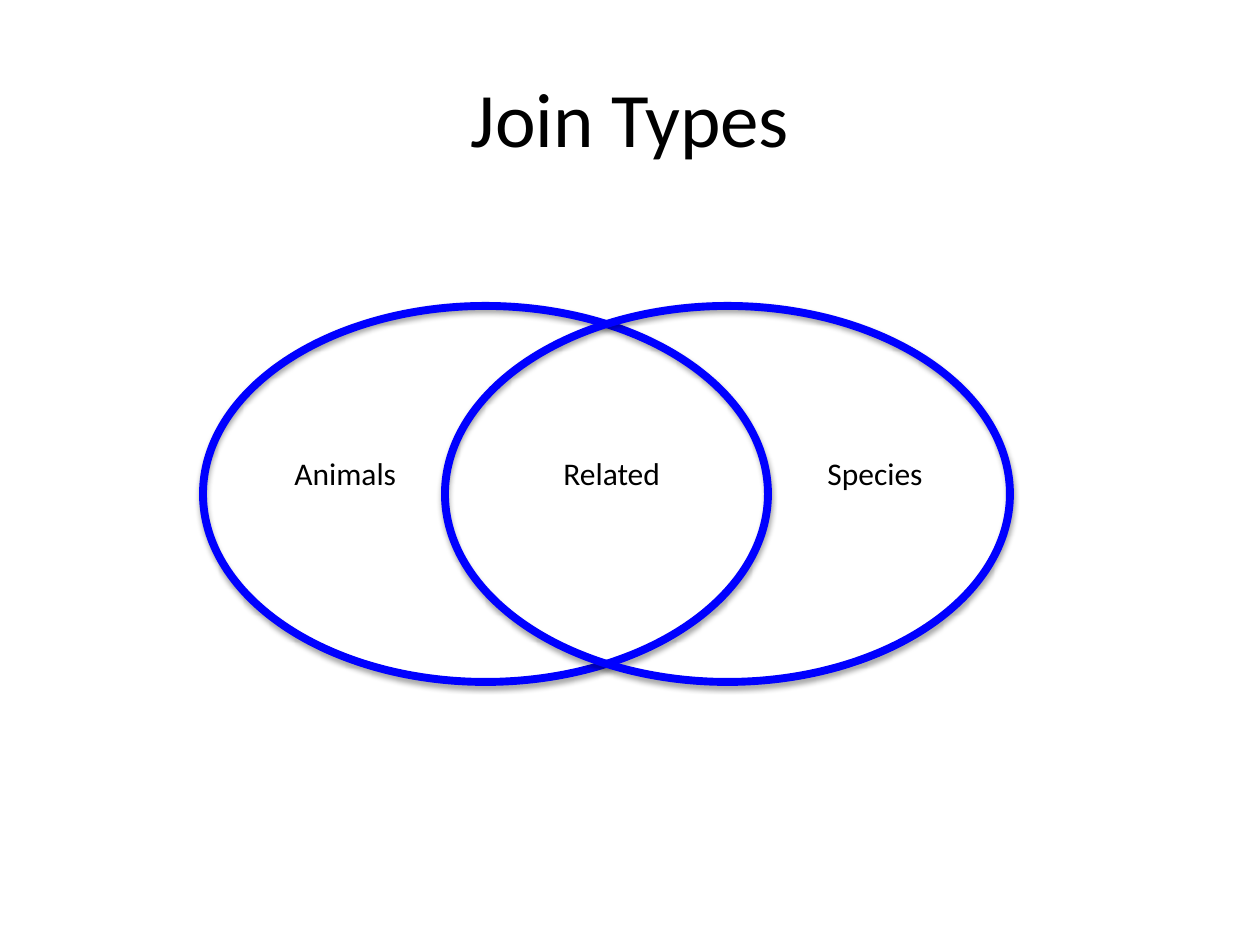
from pptx import Presentation
from pptx.dml.color import RGBColor
from pptx.enum.shapes import MSO_SHAPE
from pptx.enum.text import MSO_ANCHOR, MSO_AUTO_SIZE, PP_ALIGN
from pptx.util import Inches, Pt

PX = Inches(1) // 126


def color(value):
    return RGBColor.from_string(value)


def style(paragraph, size):
    paragraph.font.name = "Calibri"
    paragraph.font.size = Pt(size)
    paragraph.font.color.rgb = color("000000")


presentation = Presentation()
presentation.slide_width = Inches(10)
presentation.slide_height = Inches(7.5)
slide = presentation.slides.add_slide(presentation.slide_layouts[5])

title = slide.shapes.title
title.left, title.top, title.width, title.height = 63 * PX, 38 * PX, 1134 * PX, 158 * PX
title.text_frame.text = "Join Types"
title.text_frame.vertical_anchor = MSO_ANCHOR.MIDDLE
title_paragraph = title.text_frame.paragraphs[0]
title_paragraph.alignment = PP_ALIGN.CENTER
style(title_paragraph, 44)

for left in (203, 445):
    ellipse = slide.shapes.add_shape(
        MSO_SHAPE.OVAL, left * PX, 306 * PX, 565 * PX, 376 * PX
    )
    ellipse.fill.background()
    ellipse.line.color.rgb = color("0000FF")
    ellipse.line.width = Pt(4.5)

for text, left, width in (("Related", 551, 122), ("Animals", 282, 127), ("Species", 815, 120)):
    label = slide.shapes.add_textbox(left * PX, 448 * PX, width * PX, 50 * PX)
    label.text_frame.word_wrap = False
    label.text_frame.auto_size = MSO_AUTO_SIZE.SHAPE_TO_FIT_TEXT
    label.text_frame.text = text
    style(label.text_frame.paragraphs[0], 18)

presentation.save("out.pptx")
